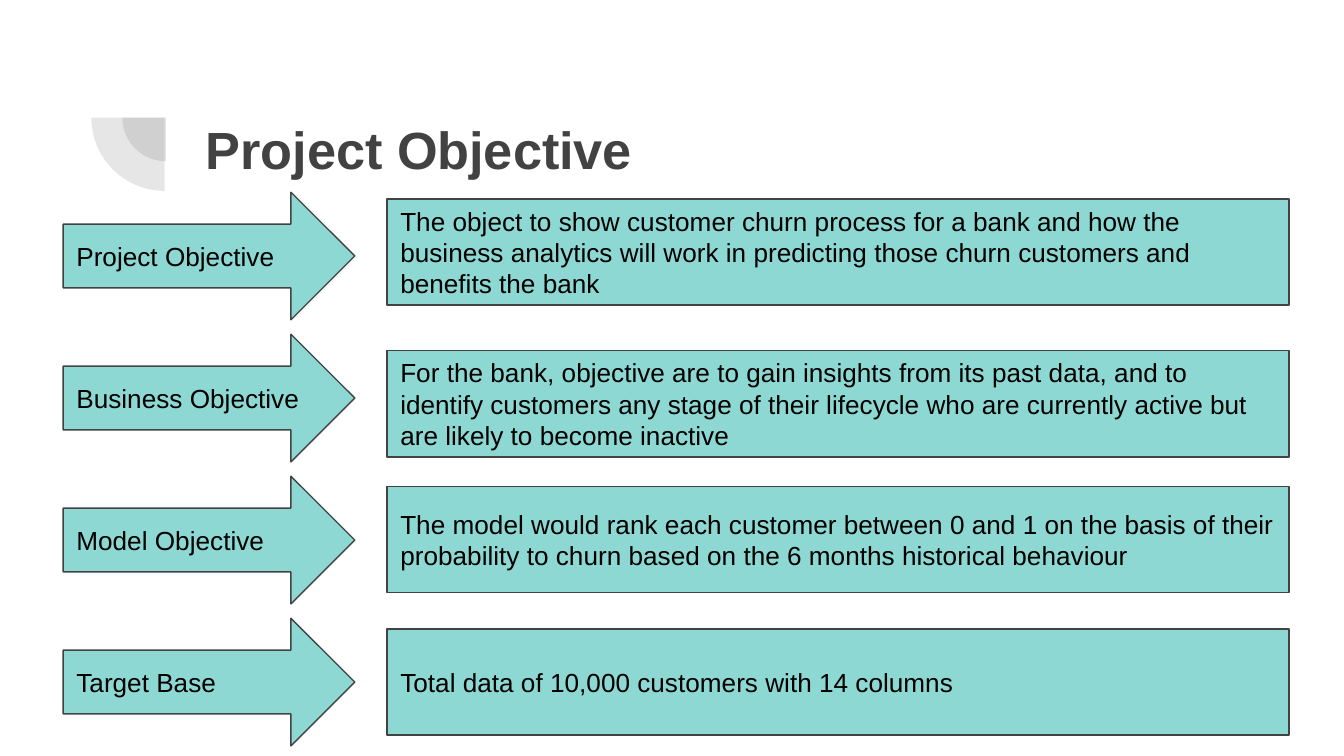
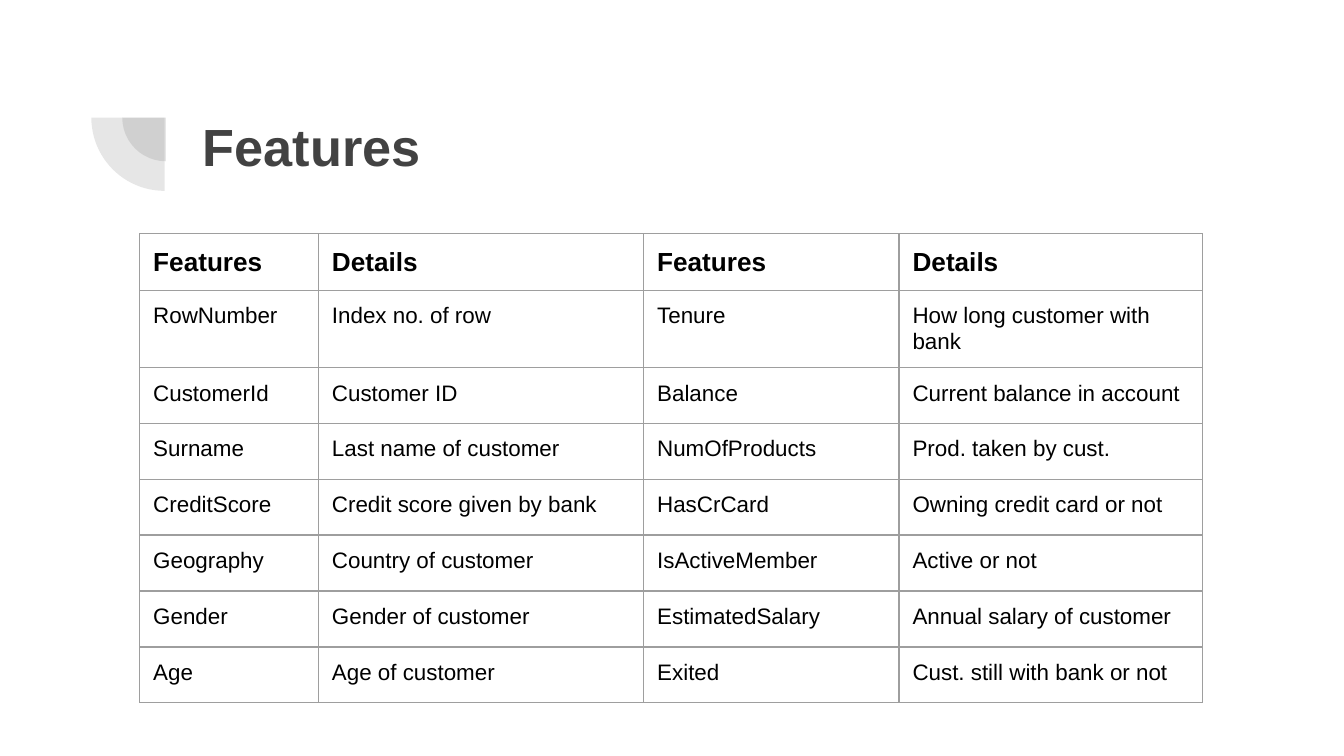
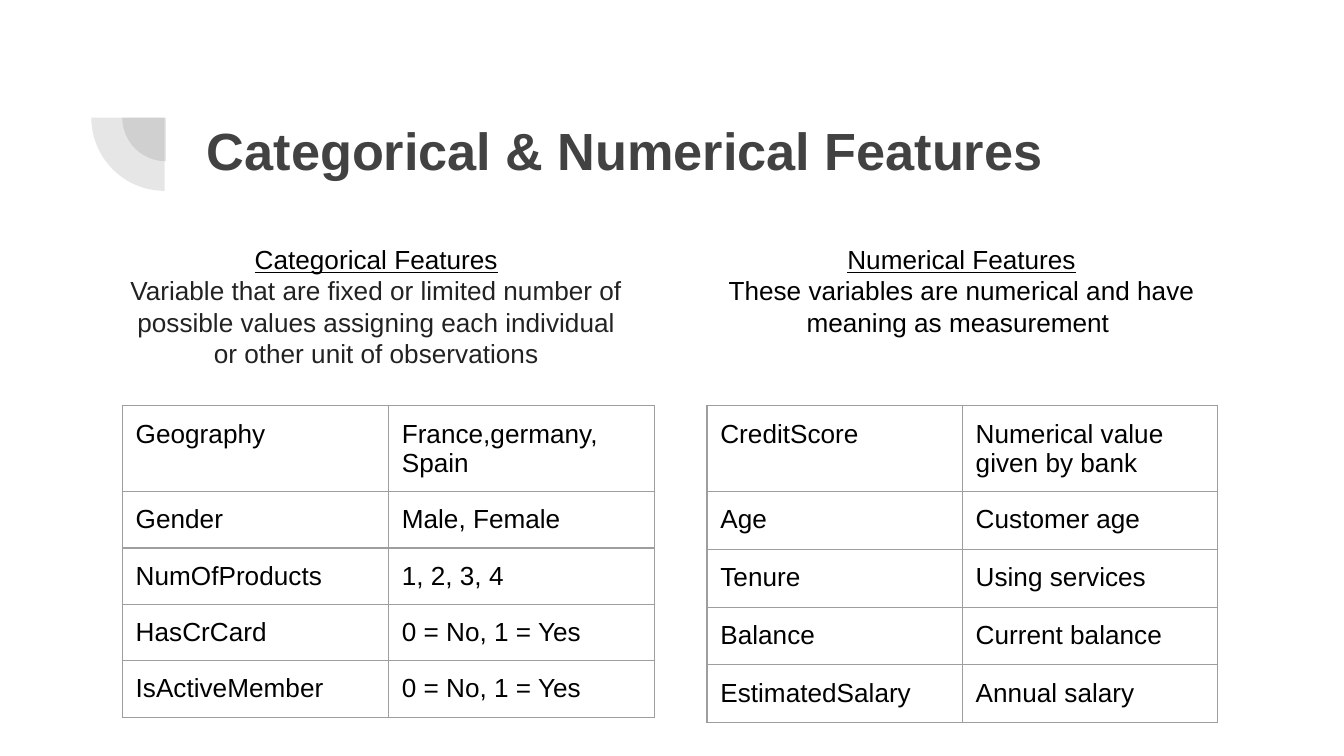
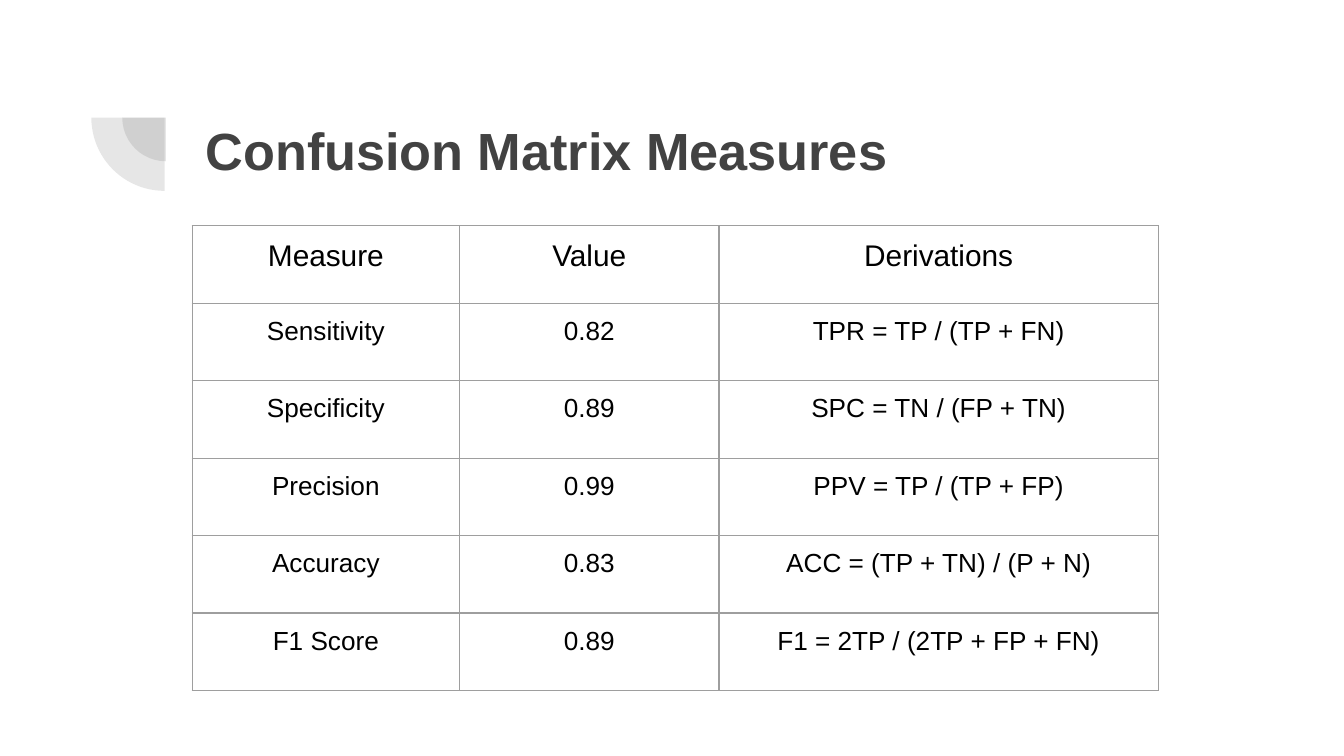
"""Build four slides on the objectives, features and measures of a bank churn project."""
from lxml import etree
from pptx import Presentation
from pptx.dml.color import RGBColor
from pptx.enum.shapes import MSO_SHAPE as Preset
from pptx.enum.text import MSO_ANCHOR as Anchor, MSO_AUTO_SIZE as AutoSize, PP_ALIGN as Align
from pptx.oxml.ns import qn
from pptx.util import Inches, Pt

COLORS = {"ink": "424242", "text": "000000", "soft": "222222", "teal": "8DD8D3", "rule": "9E9E9E"}
FONT = "Arial"
MARGIN = Inches(0.1)


def write(frame, pieces, size, align=Align.LEFT):
    """Fill a frame with (text, colour, bold, underline) runs, breaking lines at newlines."""
    frame.margin_left = frame.margin_right = frame.margin_top = frame.margin_bottom = MARGIN
    frame.word_wrap = True
    paragraph = frame.paragraphs[0]
    paragraph.alignment = align
    paragraph.line_spacing = 1.0
    for text, color, bold, underline in pieces:
        for number, line in enumerate(text.split("\n")):
            if number:
                paragraph.add_line_break()
            if line:
                run = paragraph.add_run()
                run.text = line
                font = run.font
                font.name, font.size = FONT, Pt(size)
                font.bold, font.underline = bold, underline
                font.color.rgb = RGBColor.from_string(COLORS[color])


def add_grid(slide, left, top, widths, height, rows, sizes, header_bold=False, align=Align.LEFT):
    """Add a ruled table without fill; sizes are those of the first row and of the others."""
    table = slide.shapes.add_table(len(rows), len(widths), Inches(left), Inches(top),
                                   Inches(sum(widths)), Inches(height)).table
    table.first_row = table.horz_banding = False
    for column, width in zip(table.columns, widths):
        column.width = Inches(width)
    for r, values in enumerate(rows):
        table.rows[r].height = Inches(height / len(rows))
        for c, value in enumerate(values):
            cell = table.cell(r, c)
            properties = cell._tc.get_or_add_tcPr()
            for side in ("lnL", "lnR", "lnT", "lnB"):
                border = etree.SubElement(properties, qn(f"a:{side}"), w=str(Pt(0.75)))
                fill = etree.SubElement(border, qn("a:solidFill"))
                etree.SubElement(fill, qn("a:srgbClr"), val=COLORS["rule"])
            cell.fill.background()
            write(cell.text_frame, [(value, "text", header_bold and r == 0, False)],
                  sizes[min(r, 1)], align)
            cell.margin_left = cell.margin_right = cell.margin_top = cell.margin_bottom = MARGIN


deck = Presentation()
deck.slide_width = Inches(10)
deck.slide_height = deck.slide_width * 9 // 16
title_only = deck.slide_layouts[5]
for placeholder in list(title_only.placeholders):
    if placeholder.placeholder_format.idx:
        title_only.shapes.element.remove(placeholder.element)

slides = []
for heading, left, top, height in [
    ("Project Objective", 1.43, 0.77, 0.66),
    ("Features", 1.41, 0.75, 0.66),
    ("Categorical & Numerical Features", 1.44, 0.78, 0.72),
    ("Confusion Matrix Measures", 1.43, 0.78, 0.68),
]:
    slide = deck.slides.add_slide(title_only)
    title = slide.shapes.title
    title.left, title.top = Inches(left), Inches(top)
    title.width, title.height = Inches(7.69), Inches(height)
    title.text_frame.auto_size = AutoSize.NONE
    title.text_frame.vertical_anchor = Anchor.TOP
    write(title.text_frame, [(heading, "ink", True, False)], 28)
    slides.append(slide)
objectives, features, feature_kinds, measures = slides

quadrants = []
for left, top, diameter in [(0.91, 0.55, 0.65), (0.68, 0.33, 1.09)]:
    quadrant = objectives.shapes.add_shape(
        Preset.PIE, Inches(left), Inches(top), Inches(diameter), Inches(diameter))
    quadrant.adjustments[0], quadrant.adjustments[1] = 108, 162
    quadrant.rotation = 270
    quadrant.shadow.inherit = False
    quadrant.line.fill.background()
    quadrant.fill.solid()
    quadrant.fill.fore_color.rgb = RGBColor.from_string(COLORS["ink"])
    tint = quadrant.element.spPr.find(qn("a:solidFill")).find(qn("a:srgbClr"))
    etree.SubElement(tint, qn("a:alpha"), val="13000")
    quadrants.append(quadrant)
for quadrant in quadrants:
    title_only.shapes.element.append(quadrant.element)

GOALS = [
    ("Project Objective", 1.48, "The object to show customer churn process for a bank and how the business "
     "analytics will work in predicting those churn customers and benefits the bank"),
    ("Business Objective", 2.61, "For the bank, objective are to gain insights from its past data, and to "
     "identify customers any stage of their lifecycle who are currently active but are likely to become inactive"),
    ("Model Objective", 3.62, "The model would rank each customer between 0 and 1 on the basis of their "
     "probability to churn based on the 6 months historical behaviour"),
    ("Target Base", 4.68, "Total data of 10,000 customers with 14 columns"),
]
for row, (goal, detail_top, detail) in enumerate(GOALS):
    for preset, text, left, top, width, height in [
        (Preset.RIGHT_ARROW, goal, 0.47, 1.43 + row * 3.17 / 3, 2.17, 0.95),
        (Preset.FLOWCHART_PROCESS, detail, 2.88, detail_top, 6.71, 0.79),
    ]:
        panel = objectives.shapes.add_shape(preset, Inches(left), Inches(top), Inches(width), Inches(height))
        panel.shadow.inherit = False
        panel.fill.solid()
        panel.fill.fore_color.rgb = RGBColor.from_string(COLORS["teal"])
        panel.line.color.rgb = RGBColor.from_string(COLORS["ink"])
        panel.line.width = Pt(0.75)
        panel.text_frame.vertical_anchor = Anchor.MIDDLE
        write(panel.text_frame, [(text, "text", False, False)], 14)

add_grid(features, 1.04, 1.74, [1.33, 2.42, 1.9, 2.26], 3.33, [
    ("Features", "Details", "Features", "Details"),
    ("RowNumber", "Index no. of row", "Tenure", "How long customer with bank"),
    ("CustomerId", "Customer ID", "Balance", "Current balance in account"),
    ("Surname", "Last name of customer", "NumOfProducts", "Prod. taken by cust."),
    ("CreditScore", "Credit score given by bank", "HasCrCard", "Owning credit card or not"),
    ("Geography", "Country of customer", "IsActiveMember", "Active or not"),
    ("Gender", "Gender of customer", "EstimatedSalary", "Annual salary of customer"),
    ("Age", "Age of customer", "Exited", "Cust. still with bank or not"),
], (14, 12), header_bold=True)

add_grid(feature_kinds, 0.91, 3.02, [1.98, 1.98], 2.1, [
    ("Geography", "France,germany,\nSpain"),
    ("Gender", "Male, Female"),
    ("NumOfProducts", "1, 2, 3, 4"),
    ("HasCrCard", "0 = No, 1 = Yes"),
    ("IsActiveMember", "0 = No, 1 = Yes"),
], (14, 14))
add_grid(feature_kinds, 5.26, 3.02, [1.9, 1.9], 2.15, [
    ("CreditScore", "Numerical value given by bank"),
    ("Age", "Customer age"),
    ("Tenure", "Using services"),
    ("Balance", "Current balance"),
    ("EstimatedSalary", "Annual salary"),
], (14, 14))
for kind, meaning, color, left, width in [
    ("Categorical Features", "Variable that are fixed or limited number of possible values assigning "
     "each individual or other unit of observations", "soft", 0.82, 3.96),
    ("Numerical Features", "These variables are numerical and have meaning as measurement ", "text", 5.26, 3.79),
]:
    definition = feature_kinds.shapes.add_textbox(Inches(left), Inches(1.71), Inches(width), Inches(1.1))
    write(definition.text_frame, [(kind + "\n", "text", False, True), (meaning, color, False, False)],
          14, Align.CENTER)

add_grid(measures, 1.43, 1.68, [1.99, 1.93, 3.27], 3.46, [
    ("Measure", "Value", "Derivations"),
    ("Sensitivity", "0.82", "TPR = TP / (TP + FN)"),
    ("Specificity", "0.89", "SPC = TN / (FP + TN)"),
    ("Precision", "0.99", "PPV = TP / (TP + FP)"),
    ("Accuracy", "0.83", "ACC = (TP + TN) / (P + N)"),
    ("F1 Score", "0.89", "F1 = 2TP / (2TP + FP + FN)"),
], (16, 14), align=Align.CENTER)

deck.save("out.pptx")
